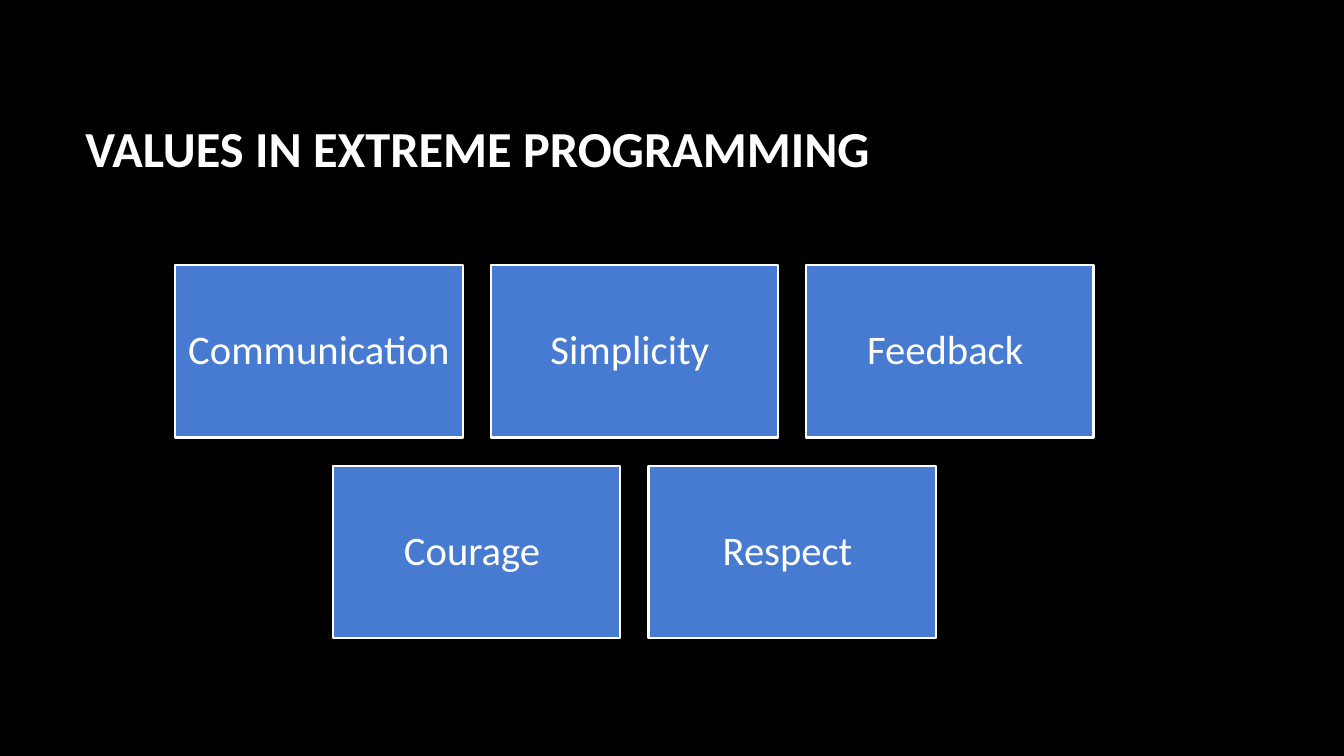
from pptx import Presentation
from pptx import util as u
from pptx.dml import color
from pptx.enum import shapes, text

BLACK = color.RGBColor(0x00, 0x00, 0x00)
WHITE = color.RGBColor(0xFF, 0xFF, 0xFF)
BLUE = color.RGBColor(0x47, 0x7B, 0xD1)

VALUE_ROWS = [
    ["Communication", "Simplicity", "Feedback"],
    ["Courage", "Respect"],
]


def set_all(target, formats):
    for name, value in formats.items():
        setattr(target, name, value)


def write(shape, wording, inset, para_format, font_format):
    frame = shape.text_frame
    sides = ("left", "top", "right", "bottom")
    set_all(frame, {f"margin_{side}": inset for side in sides})
    set_all(frame, {"word_wrap": True, "vertical_anchor": text.MSO_ANCHOR.MIDDLE})
    para = frame.paragraphs[0]
    set_all(para, para_format)
    span = para.add_run()
    span.text = wording + " "
    set_all(span.font, {"name": "Calibri", **font_format})
    span.font.color.rgb = WHITE


def add_title(page, left, top, width, height):
    title = page.shapes.add_textbox(left, top, width, height)
    write(title, "VALUES IN EXTREME PROGRAMMING", u.Cm(0.25),
          {"alignment": text.PP_ALIGN.LEFT},
          {"size": u.Pt(36), "bold": True})


def add_value(page, wording, left, top, width, height):
    box = page.shapes.add_shape(shapes.MSO_SHAPE.RECTANGLE, left, top, width, height)
    box.shadow.inherit = False
    box.fill.solid()
    box.fill.fore_color.rgb = BLUE
    box.line.color.rgb = WHITE
    box.line.width = u.Pt(1.5)
    write(box, wording, u.Cm(0.3),
          {"alignment": text.PP_ALIGN.CENTER, "line_spacing": 0.9},
          {"size": u.Pt(29), "bold": False})


def add_value_grid(page, left, top, width, height):
    gap = u.Cm(0.71)
    columns = max(len(row) for row in VALUE_ROWS)
    box_width = (width - gap * (columns - 1)) // columns
    box_height = (height - gap * (len(VALUE_ROWS) - 1)) // len(VALUE_ROWS)
    for row_number, row in enumerate(VALUE_ROWS):
        indent = (columns - len(row)) * (box_width + gap) // 2
        for column, wording in enumerate(row):
            add_value(page, wording,
                      left + indent + column * (box_width + gap),
                      top + row_number * (box_height + gap),
                      box_width, box_height)


deck = Presentation()
set_all(deck, {"slide_width": u.Cm(33.87), "slide_height": u.Cm(19.05)})
page = deck.slides.add_slide(deck.slide_layouts[6])
page.background.fill.solid()
page.background.fill.fore_color.rgb = BLACK
add_title(page, u.Cm(1.9), u.Cm(1.7), u.Cm(28.15), u.Cm(4.05))
add_value_grid(page, u.Cm(4.42), u.Cm(6.68), u.Cm(23.14), u.Cm(9.4))
deck.save("out.pptx")
